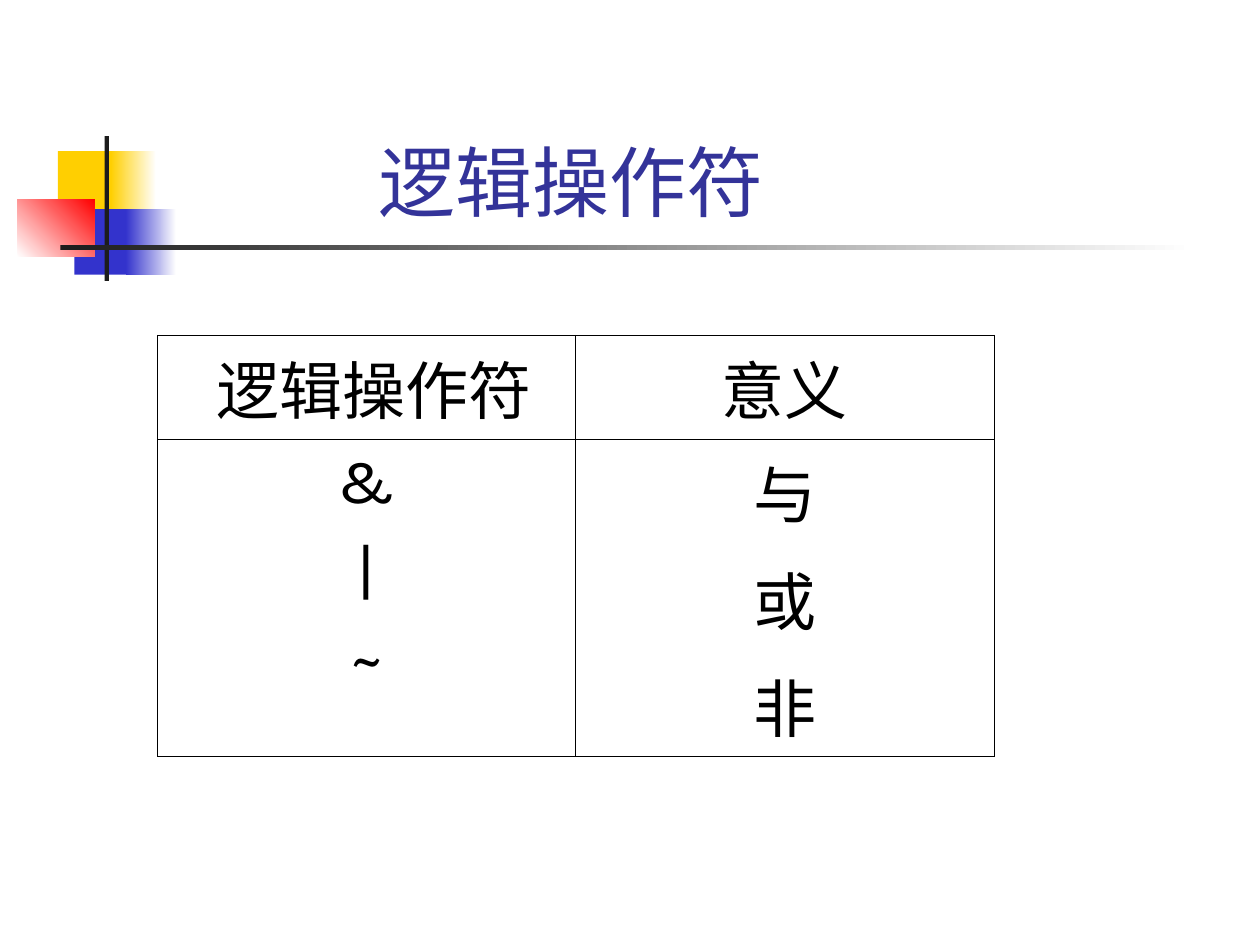
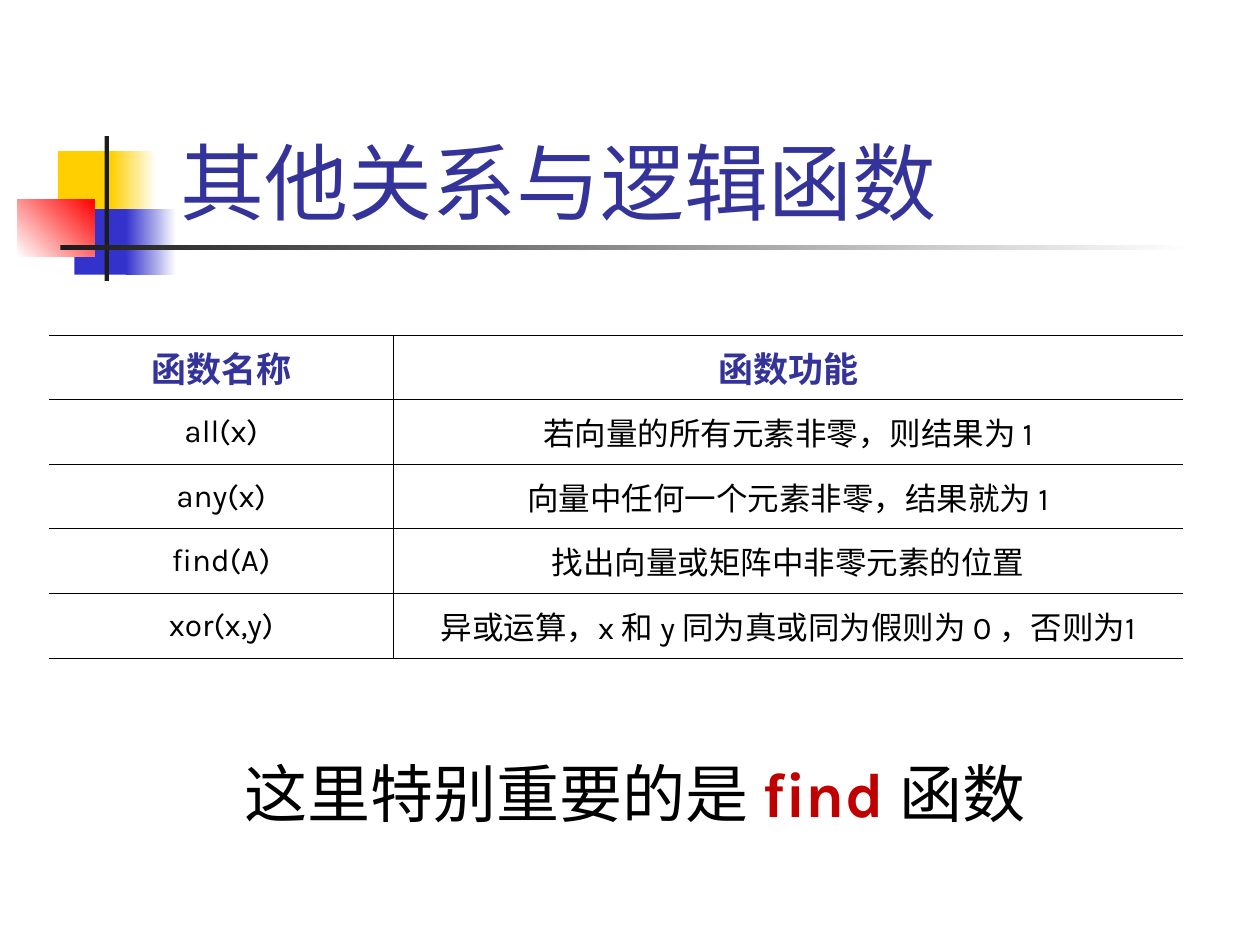
from dataclasses import dataclass
from typing import Optional

from lxml.etree import SubElement
from pptx import Presentation
from pptx.dml.color import RGBColor
from pptx.enum.shapes import MSO_SHAPE
from pptx.enum.text import MSO_ANCHOR, MSO_AUTO_SIZE, PP_ALIGN
from pptx.oxml.ns import qn
from pptx.util import Inches, Pt

WIDTH, HEIGHT = Inches(10), Inches(7.5)
FONT = "Karla"
YELLOW = RGBColor(0xFF, 0xCF, 0x01)
BLUE = RGBColor(0x33, 0x33, 0xCC)
RED = RGBColor(0xFF, 0x00, 0x00)
DARK = RGBColor(0x1C, 0x1C, 0x1C)
WHITE = RGBColor(0xFF, 0xFF, 0xFF)
BLACK = RGBColor(0x00, 0x00, 0x00)
INDIGO = RGBColor(0x33, 0x33, 0x99)
CRIMSON = RGBColor(0xC0, 0x00, 0x00)
BORDER_WIDTH = Pt(0.45)


@dataclass(frozen=True)
class Area:
    """A rectangle in percent of the slide's width and height."""
    left: float
    top: float
    width: float
    height: float

    def lengths(self) -> tuple:
        return (across(self.left), down(self.top),
                across(self.width), down(self.height))


@dataclass(frozen=True)
class Block:
    area: Area
    color: RGBColor
    fade_to: Optional[RGBColor] = None
    angle: int = 0


@dataclass(frozen=True)
class TextStyle:
    size: int
    color: RGBColor = BLACK
    bold: bool = False


@dataclass(frozen=True)
class Grid:
    area: Area
    columns: list
    rows: list
    cells: list
    header: TextStyle
    body: TextStyle
    anchor: MSO_ANCHOR
    outer_sides: bool
    gap: int = 0


def across(percent: float) -> int:
    return round(WIDTH * percent / 100)


def down(percent: float) -> int:
    return round(HEIGHT * percent / 100)


# Emblem and rule beside the title of every slide
EMBLEM = [
    Block(Area(4.6, 16, 4.8, 6.93), YELLOW),
    Block(Area(8.8, 16, 3.6, 6.93), YELLOW, WHITE),
    Block(Area(5.9, 22.13, 4.6, 6.93), BLUE),
    Block(Area(10, 22.13, 4, 6.93), BLUE, WHITE),
    Block(Area(1.4, 21.07, 6.1, 6.13), WHITE, RED, 45),
    Block(Area(8.3, 14.4, 0.35, 15.33), DARK),
    Block(Area(4.8, 25.95, 90, 0.5), DARK, WHITE),
]

OPERATORS = Grid(
    area=Area(12.5, 35.47, 66.4, 39.07),
    columns=[33.2, 33.2], rows=[9.33, 29.73],
    cells=[[" 逻辑操作符", "意义"], ["&\n|\n~", "与\n或\n非"]],
    header=TextStyle(36), body=TextStyle(36),
    anchor=MSO_ANCHOR.TOP, outer_sides=True, gap=9)

FUNCTIONS = Grid(
    area=Area(3.9, 35.47, 90, 34.13),
    columns=[27.3, 62.7], rows=[6.83] * 5,
    cells=[
        ["函数名称", "函数功能"],
        ["all(x)", "若向量的所有元素非零，则结果为 1"],
        ["any(x)", "向量中任何一个元素非零，结果就为 1"],
        ["find(A)", "找出向量或矩阵中非零元素的位置"],
        ["xor(x,y)", "异或运算，x 和 y 同为真或同为假则为 0 ，否则为1"],
    ],
    header=TextStyle(20, INDIGO, True), body=TextStyle(18),
    anchor=MSO_ANCHOR.MIDDLE, outer_sides=False)


def style_font(font, style: TextStyle) -> None:
    font.name = FONT
    font.size = Pt(style.size)
    font.bold = style.bold
    font.color.rgb = style.color


def draw_block(slide, block: Block) -> None:
    shape = slide.shapes.add_shape(MSO_SHAPE.RECTANGLE, *block.area.lengths())
    shape.shadow.inherit = False
    shape.line.fill.background()
    if block.fade_to is None:
        shape.fill.solid()
        shape.fill.fore_color.rgb = block.color
        return
    shape.fill.gradient()
    shape.fill.gradient_angle = block.angle
    for position, (stop, color) in enumerate(
            zip(shape.fill.gradient_stops, (block.color, block.fade_to))):
        stop.position = position
        stop.color.rgb = color


def add_titled_slide(deck, text: str, area: Area, style: TextStyle,
                     alignment: PP_ALIGN):
    slide = deck.slides.add_slide(deck.slide_layouts[5])
    for block in EMBLEM:
        draw_block(slide, block)
    title = slide.shapes.title
    title.left, title.top, title.width, title.height = area.lengths()
    title.element.getparent().append(title.element)  # in front of the emblem
    frame = title.text_frame
    frame.text = text
    frame.word_wrap = True
    frame.auto_size = MSO_AUTO_SIZE.NONE
    frame.vertical_anchor = MSO_ANCHOR.BOTTOM
    frame.paragraphs[0].alignment = alignment
    style_font(frame.paragraphs[0].runs[0].font, style)
    return slide


def set_borders(cell, sides: str) -> None:
    properties = cell._tc.get_or_add_tcPr()
    for side in "LRTB":
        line = SubElement(properties, qn(f"a:ln{side}"), w=str(BORDER_WIDTH))
        if side in sides:
            fill = SubElement(line, qn("a:solidFill"))
            SubElement(fill, qn("a:srgbClr"), val=str(BLACK))
        else:
            SubElement(line, qn("a:noFill"))


def fill_cell(cell, text: str, style: TextStyle, grid: Grid) -> None:
    cell.fill.background()
    cell.vertical_anchor = grid.anchor
    cell.text_frame.text = text
    for number, para in enumerate(cell.text_frame.paragraphs):
        para.alignment = PP_ALIGN.CENTER
        if number and grid.gap:
            para.space_before = Pt(grid.gap)
        style_font(para.runs[0].font, style)


def draw_table(slide, grid: Grid) -> None:
    table = slide.shapes.add_table(
        len(grid.rows), len(grid.columns), *grid.area.lengths()).table
    table.first_row = table.horz_banding = False
    for column, width in zip(table.columns, grid.columns):
        column.width = across(width)
    for row, height in zip(table.rows, grid.rows):
        row.height = down(height)
    last = len(grid.columns) - 1
    for row_number, texts in enumerate(grid.cells):
        style = grid.body if row_number else grid.header
        for column_number, text in enumerate(texts):
            cell = table.cell(row_number, column_number)
            left = "L" if column_number > 0 or grid.outer_sides else ""
            right = "R" if column_number < last or grid.outer_sides else ""
            set_borders(cell, "TB" + left + right)
            fill_cell(cell, text, style, grid)


def draw_caption(slide, area: Area, spans: list) -> None:
    frame = slide.shapes.add_textbox(*area.lengths()).text_frame
    frame.word_wrap = True
    frame.auto_size = MSO_AUTO_SIZE.SHAPE_TO_FIT_TEXT
    para = frame.paragraphs[0]
    para.alignment = PP_ALIGN.CENTER
    for text, style in spans:
        span = para.add_run()
        span.text = text
        style_font(span.font, style)


def main() -> None:
    deck = Presentation()
    deck.slide_width, deck.slide_height = WIDTH, HEIGHT

    # Logical operators
    page = add_titled_slide(deck, "逻辑操作符", Area(21.1, 13.6, 48.4, 11.07),
                            TextStyle(44, INDIGO), PP_ALIGN.CENTER)
    draw_table(page, OPERATORS)

    # Relational and logical functions
    page = add_titled_slide(deck, "其他关系与逻辑函数",
                            Area(13.3, 13.6, 64.1, 11.6),
                            TextStyle(48, INDIGO), PP_ALIGN.LEFT)
    draw_table(page, FUNCTIONS)
    plain = TextStyle(36)
    draw_caption(page, Area(13.3, 79.2, 74.2, 9.33), [
        ("这里特别重要的是 ", plain),
        ("find ", TextStyle(36, CRIMSON, True)),
        ("函数", plain),
    ])

    deck.save("out.pptx")


if __name__ == "__main__":
    main()
